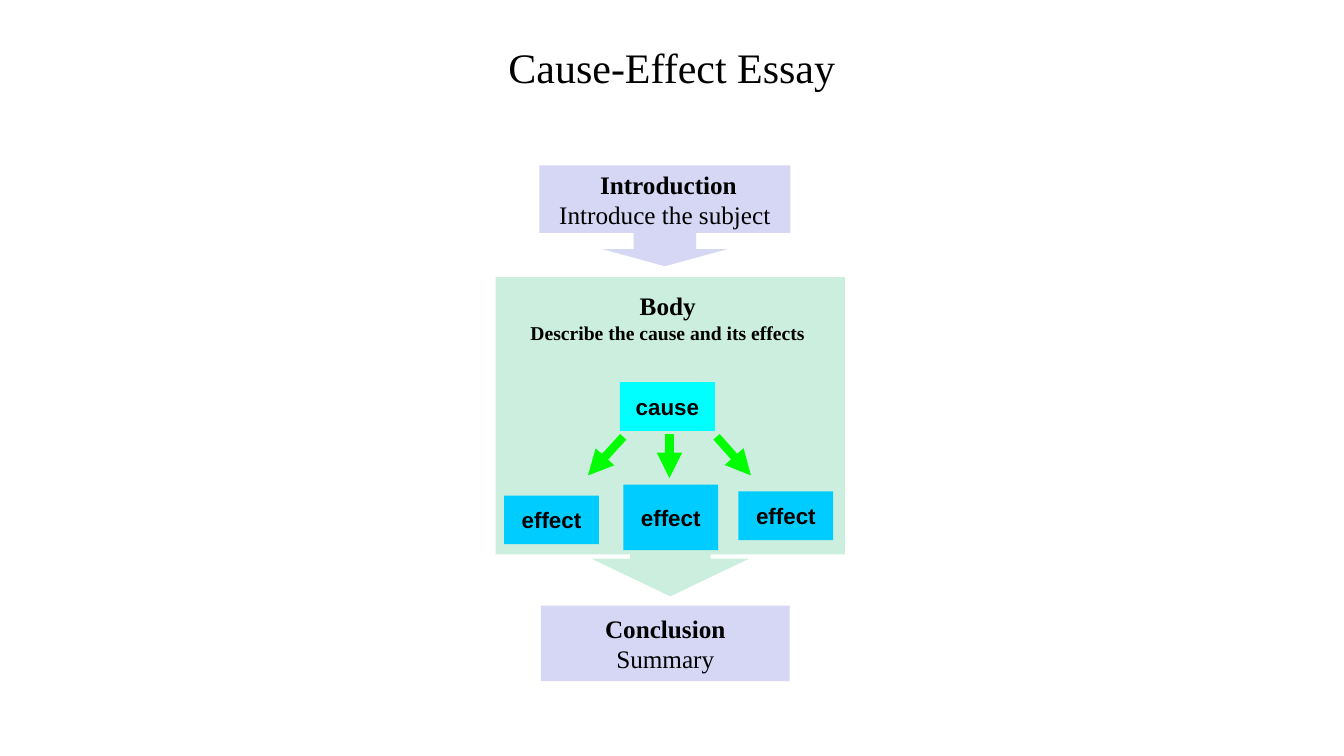
import pptx
import pptx.util
import pptx.dml.color
import pptx.enum.shapes
import pptx.enum.text
import pptx.oxml
import pptx.oxml.ns

RGBColor = pptx.dml.color.RGBColor
BLACK = RGBColor(0x00, 0x00, 0x00)
LAVENDER = RGBColor(0xD6, 0xD6, 0xF5)
MINT = RGBColor(0xCC, 0xEE, 0xDF)
CYAN = RGBColor(0x00, 0xFF, 0xFF)
SKY = RGBColor(0x00, 0xCC, 0xFF)
GREEN = RGBColor(0x00, 0xFF, 0x00)

SHAPES = pptx.enum.shapes.MSO_SHAPE
AUTO_SIZE = pptx.enum.text.MSO_AUTO_SIZE
MIDDLE = pptx.enum.text.MSO_ANCHOR.MIDDLE
TOP = pptx.enum.text.MSO_ANCHOR.TOP

COLUMNS, ROWS = 160, 90

HEADING = {"name": "Times New Roman", "size": pptx.util.Pt(18), "bold": True}
DETAIL = {**HEADING, "bold": False}
SUBHEADING = {**HEADING, "size": pptx.util.Pt(14)}
TITLE = {**DETAIL, "size": pptx.util.Pt(30)}
LABEL = {"name": "Arial", "size": pptx.util.Pt(16), "bold": True}


def apply(target, values):
    for attribute, value in values.items():
        setattr(target, attribute, value)


class EssaySlide:
    def __init__(self, presentation):
        self.width = presentation.slide_width
        self.height = presentation.slide_height
        self.slide = presentation.slides.add_slide(presentation.slide_layouts[5])

    def point(self, column, row):
        return round(self.width * column / COLUMNS), round(self.height * row / ROWS)

    def place(self, column, row, columns, rows):
        return (*self.point(column, row), *self.point(columns, rows))

    def set_text(self, element, lines, wrap=False, anchor=MIDDLE, auto_size=AUTO_SIZE.NONE):
        frame = element.text_frame
        apply(frame, {"word_wrap": wrap, "vertical_anchor": anchor, "auto_size": auto_size})
        for index, (text, style, right_to_left) in enumerate(lines):
            paragraph = frame.add_paragraph() if index else frame.paragraphs[0]
            paragraph.alignment = pptx.enum.text.PP_ALIGN.CENTER
            if right_to_left:
                paragraph._p.get_or_add_pPr().set("rtl", "1")
            run = paragraph.add_run()
            run.text = text
            apply(run.font, style)
            run.font.color.rgb = BLACK

    def title(self, text, area):
        heading = self.slide.shapes.title
        apply(heading, dict(zip(("left", "top", "width", "height"), self.place(*area))))
        self.set_text(heading, [(text, TITLE, False)], wrap=True)

    def block(self, area, fill, lines=(), preset=SHAPES.RECTANGLE, adjustments=()):
        block = self.slide.shapes.add_shape(preset, *self.place(*area))
        for index, value in enumerate(adjustments):
            block.adjustments[index] = value
        block.fill.solid()
        block.fill.fore_color.rgb = fill
        block.line.fill.background()
        block.shadow.inherit = False
        if lines:
            self.set_text(block, lines)

    def caption(self, area, lines):
        caption = self.slide.shapes.add_textbox(*self.place(*area))
        self.set_text(caption, lines, True, TOP, AUTO_SIZE.SHAPE_TO_FIT_TEXT)

    def arrow(self, start, end):
        arrow = self.slide.shapes.add_connector(
            pptx.enum.shapes.MSO_CONNECTOR.STRAIGHT, *self.point(*start), *self.point(*end))
        arrow.line.width = pptx.util.Pt(6)
        arrow.line.color.rgb = GREEN
        head = pptx.oxml.parse_xml(
            f'<a:tailEnd {pptx.oxml.ns.nsdecls("a")} type="triangle"/>')
        arrow.line._get_or_add_ln().append(head)
        arrow._element.spPr.append(
            pptx.oxml.parse_xml(f'<a:effectLst {pptx.oxml.ns.nsdecls("a")}/>'))


def main():
    presentation = pptx.Presentation()
    presentation.slide_width = pptx.util.Inches(13.33)
    presentation.slide_height = pptx.util.Inches(7.5)
    essay = EssaySlide(presentation)

    essay.title("Cause-Effect Essay", (26, 3, 108, 10))
    essay.block((64.2, 19.7, 29.9, 12), LAVENDER,
                [("Introduction ", HEADING, True), ("Introduce the subject", DETAIL, True)],
                SHAPES.DOWN_ARROW_CALLOUT, (0.62, 0.62, 0.17, 0.67))

    essay.block((70.4, 62, 18.8, 9), MINT, preset=SHAPES.DOWN_ARROW)
    essay.block((59, 33, 41.6, 33), MINT)
    essay.block((75, 65, 9.6, 3), MINT)
    essay.caption((56, 34, 47, 7.6),
                  [("Body", HEADING, False),
                   ("Describe the cause and its effects", SUBHEADING, True)])

    essay.block((73.8, 45.5, 11.3, 5.8), CYAN, [("cause", LABEL, False)])
    for start, end in (((74.2, 52), (70, 56.6)),
                       ((79.7, 51.7), (79.7, 56.9)),
                       ((85.3, 52), (89.4, 56.6))):
        essay.arrow(start, end)
    for column, row, rows in ((60, 59, 5.8), (74.2, 57.7, 7.8), (87.9, 58.5, 5.8)):
        essay.block((column, row, 11.3, rows), SKY, [("effect", LABEL, False)])

    essay.block((64.4, 72.1, 29.6, 9), LAVENDER,
                [("Conclusion", HEADING, True), ("Summary", DETAIL, True)])
    presentation.save("out.pptx")


if __name__ == "__main__":
    main()
